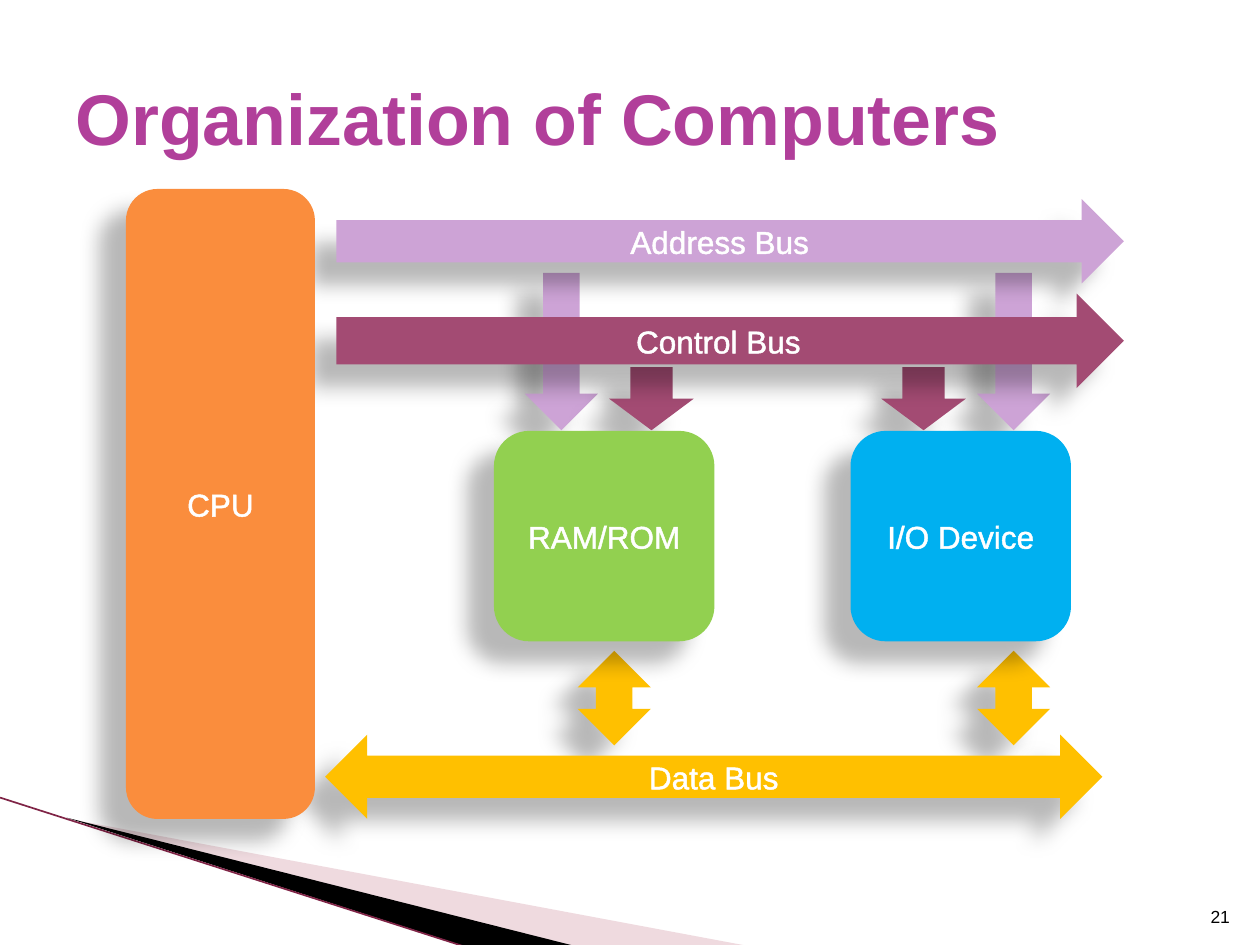
from lxml.etree import SubElement
from pptx import Presentation
from pptx.dml.color import RGBColor
from pptx.enum.shapes import MSO_CONNECTOR, MSO_SHAPE
from pptx.enum.text import MSO_ANCHOR, PP_ALIGN
from pptx.oxml import parse_xml
from pptx.oxml.ns import nsdecls, qn
from pptx.util import Inches, Pt

THEME = {
    "font": "Arial",
    "title_size": 41, "label_size": 18, "number_size": 10,
    "title": "B13F9A", "white": "FFFFFF", "black": "000000",
    "address": "CDA3D6", "control": "A34B73", "data": "FFC000",
    "cpu": "FA8D3D", "memory": "92D050", "device": "00B0F0",
    "swoosh": "D8A3AF", "edge": "7F2446",
}
TITLE = "Organization of Computers"
PAGE_NUMBER = "21"

RIGHT, BOTH = MSO_SHAPE.RIGHT_ARROW, MSO_SHAPE.LEFT_RIGHT_ARROW
BOX = MSO_SHAPE.ROUNDED_RECTANGLE

DATA_LINKS = [4.5, 7.67]
ADDRESS_LINKS = [7.42, 3.83]
CONTROL_LINKS = [7.08, 4.92]
LINKS = [
    (DATA_LINKS, 5.25, 0.75, 0.58, BOTH, 270, "data"),
    (ADDRESS_LINKS, 2.5, 1.25, 0.58, RIGHT, 90, "address"),
    (CONTROL_LINKS, 2.83, 0.5, 0.67, RIGHT, 90, "control"),
]
BLOCKS = [
    ("Data Bus", BOTH, (2.58, 5.83, 6.17, 0.67), "data"),
    ("RAM/ROM", BOX, (3.92, 3.42, 1.75, 1.67), "memory"),
    ("I/O Device", BOX, (6.75, 3.42, 1.75, 1.67), "device"),
    ("Address Bus", RIGHT, (2.67, 1.58, 6.25, 0.67), "address"),
    ("Control Bus", RIGHT, (2.67, 2.33, 6.25, 0.75), "control"),
    ("CPU", BOX, (1, 1.5, 1.5, 5), "cpu"),
]
SWOOSHES = [
    ([(0.55, 6.5), (5.95, 7.51), (4.56, 7.51)], "swoosh", 40),
    ([(0.53, 6.49), (4.57, 7.51), (3.72, 7.52)], "black", 100),
]
EDGE = (0, 6.33, 3.71, 7.52)


def color(name):
    return RGBColor.from_string(THEME[name])


def lengths(values):
    return [Inches(value) for value in values]


def set_attributes(target, values):
    for name, value in values.items():
        setattr(target, name, value)


def fill_shape(shape, name, opacity=100):
    shape.fill.solid()
    shape.fill.fore_color.rgb = color(name)
    shape.line.fill.background()
    shape.shadow.inherit = False
    if opacity < 100:
        fill = shape.fill._xPr.find(qn("a:solidFill"))
        SubElement(fill[0], qn("a:alpha"), val=str(opacity * 1000))


def cast_shadow(shape):
    effects = shape._element.spPr.find(qn("a:effectLst"))
    effects.append(parse_xml(
        f'<a:outerShdw {nsdecls("a")} blurRad="{Pt(11.8)}" dist="{Pt(19.7)}" '
        f'dir="{141 * 60000}" algn="ctr" rotWithShape="0">'
        f'<a:srgbClr val="{THEME["black"]}"><a:alpha val="28000"/></a:srgbClr>'
        '</a:outerShdw>'))


def write(shape, text, size, name, alignment, anchor, bold=False):
    set_attributes(shape.text_frame, {"word_wrap": True, "vertical_anchor": anchor})
    paragraph = shape.text_frame.paragraphs[0]
    paragraph.alignment = alignment
    run = paragraph.add_run()
    run.text = text
    set_attributes(run.font, {"name": THEME["font"], "size": Pt(THEME[size]), "bold": bold})
    run.font.color.rgb = color(name)
    return run


def outline_text(run, name):
    run.font._element.insert(0, parse_xml(
        f'<a:ln {nsdecls("a")} w="{Pt(1.45)}"><a:solidFill>'
        f'<a:srgbClr val="{THEME[name]}"/></a:solidFill></a:ln>'))


def add_block(shapes, kind, box, name):
    shape = shapes.add_shape(kind, *lengths(box))
    fill_shape(shape, name)
    cast_shadow(shape)
    return shape


def add_backdrop(shapes):
    for points, name, opacity in SWOOSHES:
        corners = [lengths(point) for point in points]
        builder = shapes.build_freeform(*corners[0])
        builder.add_line_segments(corners[1:], close=True)
        fill_shape(builder.convert_to_shape(), name, opacity)
    edge = shapes.add_connector(MSO_CONNECTOR.STRAIGHT, *lengths(EDGE))
    edge.line.color.rgb = color("edge")
    edge.line.width = Pt(0.95)
    SubElement(edge._element.spPr, qn("a:effectLst"))


def main():
    presentation = Presentation()
    set_attributes(presentation, {"slide_width": Inches(10), "slide_height": Inches(7.5)})
    slide = presentation.slides.add_slide(presentation.slide_layouts[5])
    shapes = slide.shapes
    add_backdrop(shapes)

    title = shapes.title
    set_attributes(title, dict(zip(("left", "top", "width", "height"),
                                   lengths((0.5, 0.3, 9, 1.25)))))
    write(title, TITLE, "title_size", "title", PP_ALIGN.LEFT, MSO_ANCHOR.MIDDLE, True)

    for lefts, top, width, height, kind, rotation, name in LINKS:
        for left in lefts:
            add_block(shapes, kind, (left, top, width, height), name).rotation = rotation

    for label, kind, box, name in BLOCKS:
        block = add_block(shapes, kind, box, name)
        run = write(block, label, "label_size", "white", PP_ALIGN.CENTER, MSO_ANCHOR.MIDDLE)
        outline_text(run, "white")

    number = shapes.add_textbox(*lengths((9.46, 7.01, 0.4, 0.4)))
    write(number, PAGE_NUMBER, "number_size", "black", PP_ALIGN.RIGHT, MSO_ANCHOR.BOTTOM)
    presentation.save("out.pptx")


if __name__ == "__main__":
    main()
